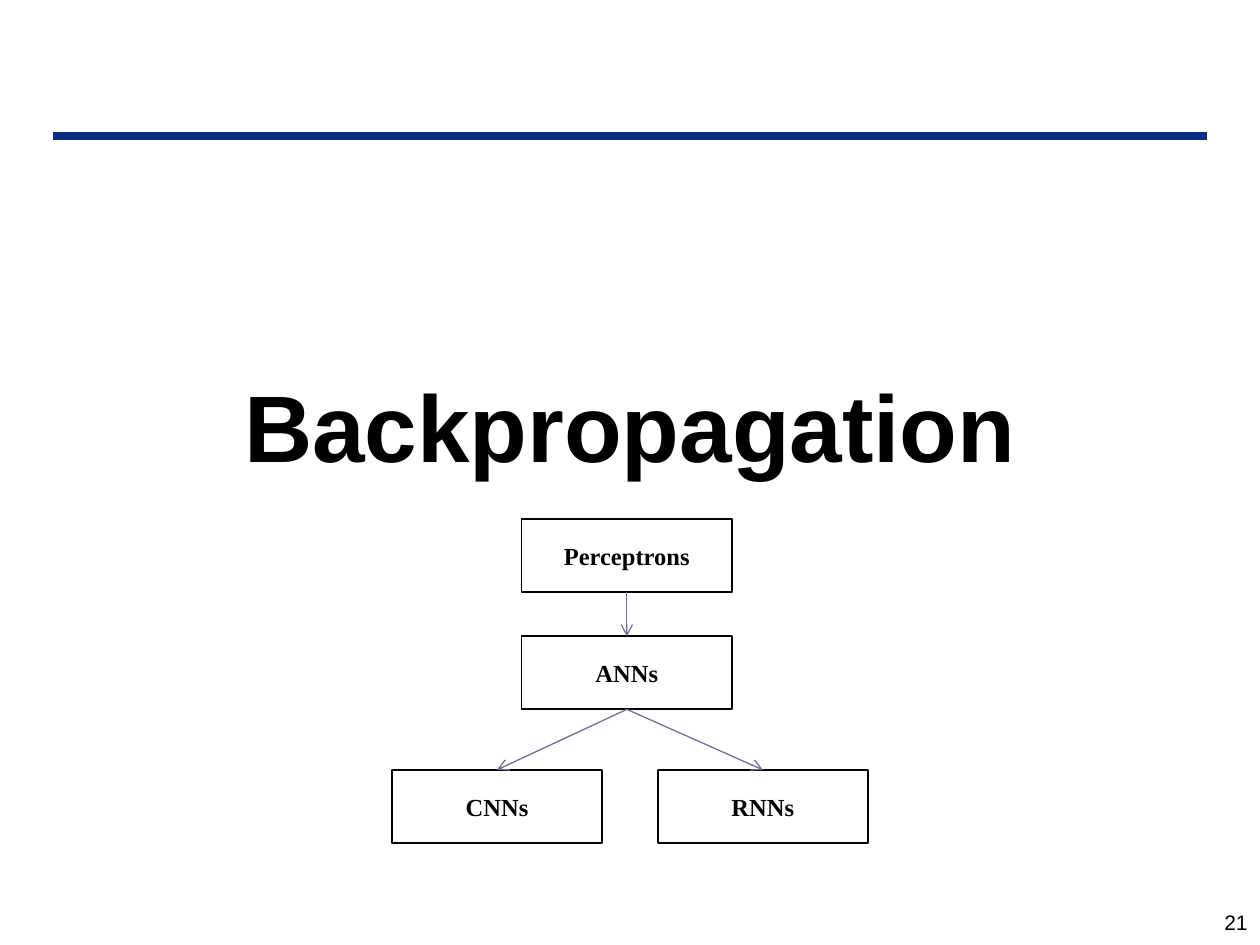
from lxml import etree
from pptx import Presentation
from pptx.dml.color import RGBColor
from pptx.enum.shapes import MSO_CONNECTOR, MSO_SHAPE
from pptx.enum.text import MSO_ANCHOR, PP_ALIGN
from pptx.oxml.ns import qn
from pptx.util import Inches, Pt

LINE, RECT = MSO_CONNECTOR.STRAIGHT, MSO_SHAPE.RECTANGLE
TOP, MIDDLE = MSO_ANCHOR.TOP, MSO_ANCHOR.MIDDLE
CENTER, RIGHT = PP_ALIGN.CENTER, PP_ALIGN.RIGHT

COLORS = {"rule": "0C2D83", "ink": "000000", "paper": "FFFFFF", "arrow": "8064A2"}
TITLE, PAGE = "Backpropagation", "21"
BOX = (1.67, 0.58)
NODES = {
    "Perceptrons": (4.14, 4.12),
    "ANNs": (4.14, 5.05),
    "RNNs": (5.22, 6.11),
    "CNNs": (3.11, 6.11),
}
EDGES = [("Perceptrons", "ANNs"), ("ANNs", "CNNs"), ("ANNs", "RNNs")]
BOTTOM_SITE, TOP_SITE = 2, 0


def color(name):
    return RGBColor.from_string(COLORS[name])


def write(shape, text, size, font, align, anchor, bold=False):
    frame = shape.text_frame
    frame.word_wrap = True
    frame.vertical_anchor = anchor
    para = frame.paragraphs[0]
    para.alignment = align
    run = para.add_run()
    run.text = text
    run.font.size, run.font.name, run.font.bold = Pt(size), font, bold
    run.font.color.rgb = color("ink")
    return frame


def add_line(slide, ends, hue, width):
    line = slide.shapes.add_connector(LINE, *map(Inches, ends))
    line.line.color.rgb = color(hue)
    line.line.width = Pt(width)
    etree.SubElement(line._element.spPr, qn("a:effectLst"))
    return line


def add_node(slide, name, spot):
    node = slide.shapes.add_shape(RECT, *map(Inches, spot + BOX))
    node.shadow.inherit = False
    node.fill.solid()
    node.fill.fore_color.rgb = color("paper")
    node.line.color.rgb = color("ink")
    node.line.width = Pt(1)
    write(node, name, 14, "Times New Roman", CENTER, MIDDLE, True)
    return node


def add_arrow(slide, start, end):
    arrow = add_line(slide, (0, 0, 1, 1), "arrow", 0.75)
    arrow.begin_connect(start, BOTTOM_SITE)
    arrow.end_connect(end, TOP_SITE)
    etree.SubElement(arrow.line._get_or_add_ln(), qn("a:tailEnd"), type="arrow")


def main():
    """Build the Backpropagation section slide."""
    deck = Presentation()
    deck.slide_width, deck.slide_height = Inches(10), Inches(7.5)
    slide = deck.slides.add_slide(deck.slide_layouts[6])
    add_line(slide, (0.42, 1.08, 9.58, 1.08), "rule", 4.5)
    page = slide.shapes.add_textbox(*map(Inches, (9.25, 7.17, 0.75, 0.22)))
    write(page, PAGE, 12, "Arial", RIGHT, TOP)
    title = slide.shapes.add_textbox(*map(Inches, (0.5, 1.75, 9, 4.95)))
    frame = write(title, TITLE, 54, "Arial", CENTER, TOP, True)
    frame.margin_top = Inches(1.17)
    nodes = {name: add_node(slide, name, spot) for name, spot in NODES.items()}
    for start, end in EDGES:
        add_arrow(slide, nodes[start], nodes[end])
    deck.save("out.pptx")


if __name__ == "__main__":
    main()
